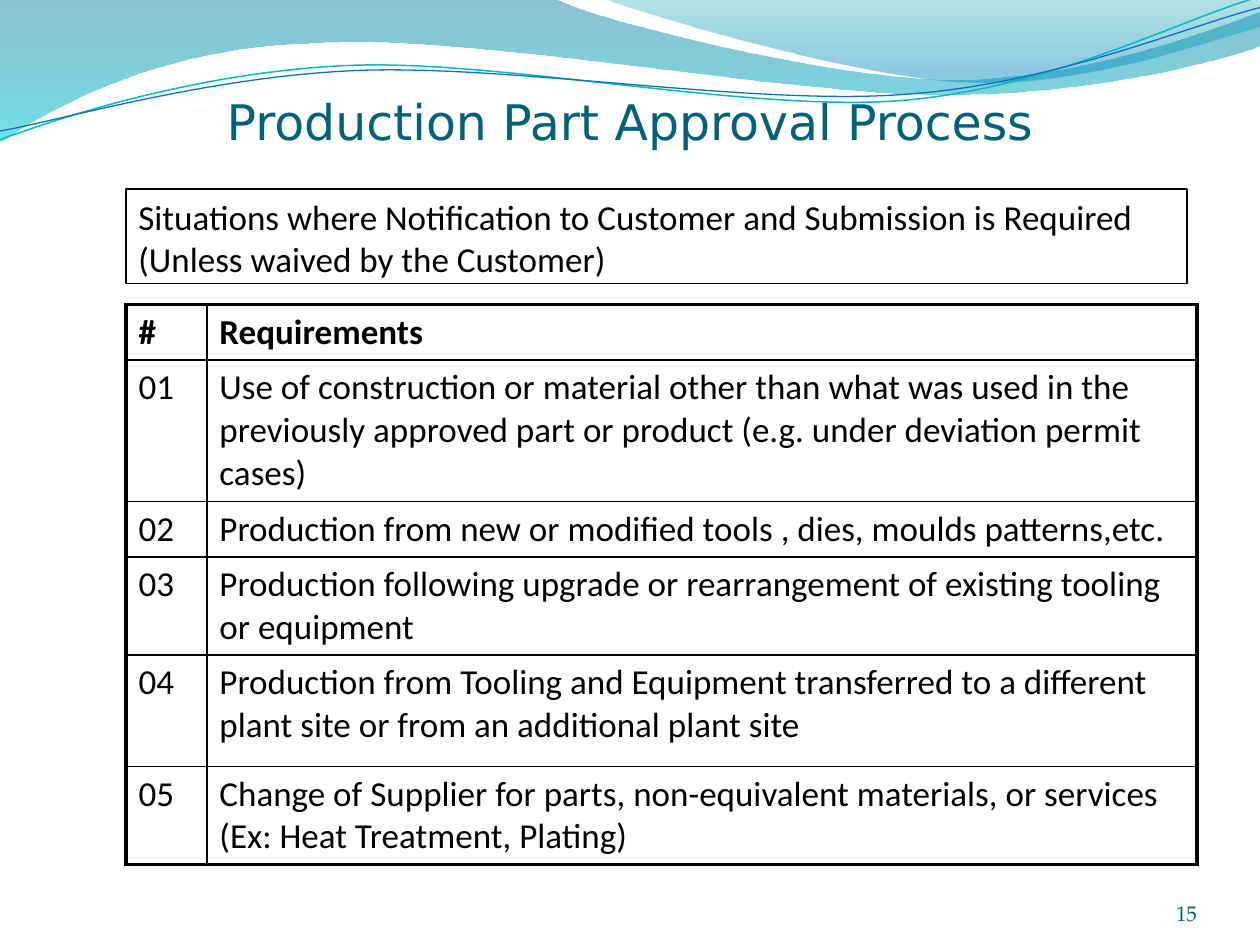
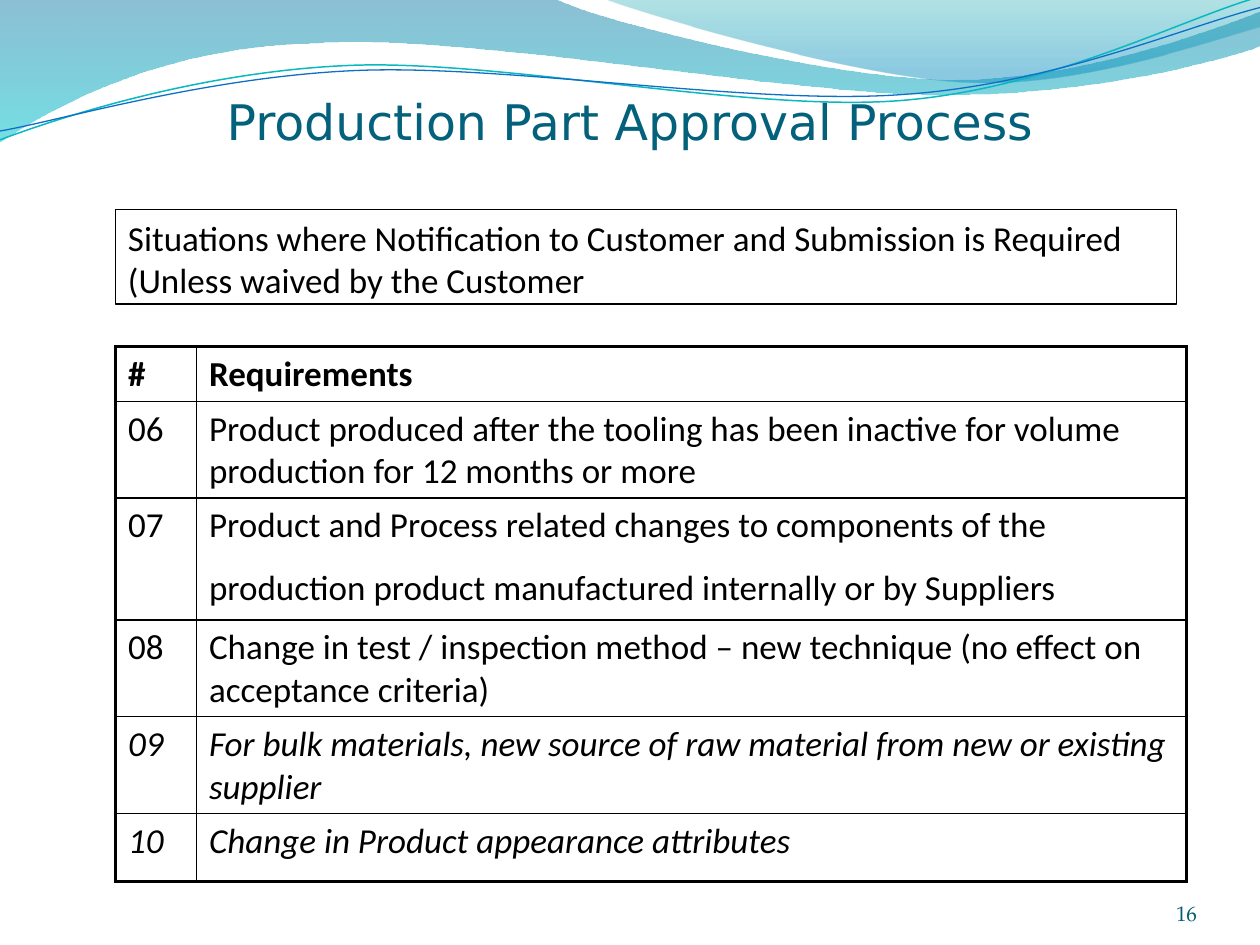
from pptx import Presentation
from pptx.dml.color import RGBColor
from pptx.enum.shapes import MSO_SHAPE as Preset
from pptx.enum.text import MSO_ANCHOR as Anchor, PP_ALIGN as Align
from pptx.oxml.ns import qn
from pptx.util import Cm, Pt
from lxml.etree import SubElement, Element

# Content
TITLE = "Production Part Approval Process"
HEADINGS = ("#", "Requirements")
SITUATION = ("Situations where Notification to Customer and Submission "
             "is Required (Unless waived by the Customer")

# Each requirement: number, text, least row height in cm, italic
PAGES = [
    dict(number="15", situation=SITUATION + ")", left=2.54, header_height=1.04,
         situation_top=3.81, table_top=6.14, requirements=[
             ("01", "Use of construction or material other than what was used in the "
              "previously approved part or product (e.g. under deviation permit cases)",
              2.59, False),
             ("02", "Production from new or modified tools , dies, moulds patterns,etc.",
              1.04, False),
             ("03", "Production following upgrade or rearrangement of existing tooling "
              "or equipment", 1.8, False),
             ("04", "Production from Tooling and Equipment transferred to a different "
              "plant site or from an additional plant site", 2.24, False),
             ("05", "Change of Supplier for parts, non-equivalent materials, or services "
              "(Ex: Heat Treatment, Plating)", 1.8, False),
         ]),
    dict(number="16", situation=SITUATION, left=2.33, header_height=1.09,
         situation_top=4.23, table_top=6.99, requirements=[
             ("06", "Product produced after the tooling has been inactive for volume "
              "production for 12 months or more", 1.93, False),
             ("07", "Product and Process related changes to components of the "
              "production product manufactured internally or by Suppliers", 2.39, False),
             ("08", "Change in test / inspection method – new technique (no effect on "
              "acceptance criteria)", 1.93, False),
             ("09", "For bulk materials, new source of raw material from new or existing "
              "supplier", 1.93, True),
             ("10", "Change in Product appearance attributes", 1.38, True),
         ]),
]
TALL_LINE_NUMBER = "07"  # its last line ends in a larger space

# Shared look
BLACK, WHITE, TITLE_COLOR, NUMBER_COLOR = "000000", "FFFFFF", "04617B", "045D75"
BODY_FONT, TITLE_FONT, NUMBER_FONT = "Calibri", "DejaVu Sans", "TeX Gyre Pagella"
COLUMN_WIDTHS = (1.63, 19.96)
OUTER_LINE, INNER_LINE = 2.25, 1

# Waves on a grid ten units wide: 2 numbers are a point, 6 are a curve
WAVE_UNIT = 2.54
BANDS = [
    ([(0, 0), (4.4, -0.01), (4.76, 0.17, 6.64, 0.63, 7.58, 0.63),
      (8.53, 0.63, 9.58, 0.26, 10, 0.09), (10.01, 0.36),
      (9.83, 0.44, 8.7, 0.76, 7.46, 0.75), (6.22, 0.75, 3.82, 0.28, 2.57, 0.34),
      (1.29, 0.36, 0.46, 0.83, -0.01, 1.13), (0, 0)],
     [(0, "0074A1", 45), (1, "00C6CF", 55)]),
    ([(4.79, -0.01), (5.09, 0.11, 6.82, 0.62, 7.69, 0.65),
      (8.56, 0.69, 9.61, 0.32, 10, 0.21), (10, 0), (4.79, -0.01)],
     [(0, "00A1A9", 30), (0.8, "008BBF", 45)]),
]
STRANDS = [
    ([(0, 1.11), (0.48, 0.93, 1.58, 0.57, 2.77, 0.52),
      (3.95, 0.47, 5.93, 0.89, 7.13, 0.8), (8.33, 0.71, 9.38, 0.15, 9.98, -0.02)],
     "0AB8BF", 0.85),
    ([(0, 1.04), (0.47, 0.96, 1.64, 0.61, 2.83, 0.56),
      (4.03, 0.51, 5.97, 0.84, 7.17, 0.75), (8.36, 0.67, 9.41, 0.21, 10, 0.06)],
     "0F6FC6", 0.75),
]


def color(hex_code):
    return RGBColor.from_string(hex_code)


def style(run, font, size, hex_code, bold=False, italic=False):
    run.font.name, run.font.size = font, Pt(size)
    run.font.bold, run.font.italic = bold, italic
    run.font.color.rgb = color(hex_code)


def write(frame, text, font, size, hex_code, align=Align.LEFT, **emphasis):
    frame.text = text
    frame.word_wrap = True
    frame.paragraphs[0].alignment = align
    style(frame.paragraphs[0].runs[0], font, size, hex_code, **emphasis)


def add_wave(slide, steps, close):
    points = [(Cm(x * WAVE_UNIT), Cm(y * WAVE_UNIT))
              for step in steps for x, y in zip(step[::2], step[1::2])]
    builder = slide.shapes.build_freeform(*points[0])
    builder.add_line_segments(points[1:], close=close)
    wave = builder.convert_to_shape()
    wave.shadow.inherit = False
    # Join the three corners of each curve into one cubic segment
    corners = iter(list(wave._element.spPr.iter(qn("a:lnTo"))))
    for step in steps[1:]:
        first = next(corners)
        if len(step) == 6:
            first.tag = qn("a:cubicBezTo")
            for _ in range(2):
                corner = next(corners)
                first.append(corner[0])
                corner.getparent().remove(corner)
    return wave


def add_waves(slide):
    for steps, stops in BANDS:
        band = add_wave(slide, steps, True)
        band.line.fill.background()
        band.fill.gradient()
        band.fill.gradient_angle = 270
        for stop, (position, hex_code, _) in zip(band.fill.gradient_stops, stops):
            stop.position = position
            stop.color.rgb = color(hex_code)
        # Opacity of each stop
        for tint, (_, _, opacity) in zip(band._element.spPr.iter(qn("a:srgbClr")), stops):
            SubElement(tint, qn("a:alpha"), val=str(opacity * 1000))
    for steps, hex_code, width in STRANDS:
        strand = add_wave(slide, steps, False)
        strand.fill.background()
        strand.line.color.rgb = color(hex_code)
        strand.line.width = Pt(width)


def add_title(slide):
    title = slide.shapes.add_textbox(Cm(4.32), Cm(1.73), Cm(17.07), Cm(1.45))
    write(title.text_frame, TITLE, TITLE_FONT, 28, TITLE_COLOR)


def add_page_number(slide, number):
    footer = slide.shapes.add_textbox(Cm(22.02), Cm(17.65), Cm(2.11), Cm(1.02))
    frame = footer.text_frame
    frame.margin_left = frame.margin_right = frame.margin_top = frame.margin_bottom = 0
    frame.vertical_anchor = Anchor.BOTTOM
    write(frame, number, NUMBER_FONT, 12, NUMBER_COLOR, Align.RIGHT)


def add_situation(slide, text, left, top):
    box = slide.shapes.add_shape(Preset.RECTANGLE, Cm(left), Cm(top), Cm(21.39), Cm(1.9))
    box.shadow.inherit = False
    box.fill.solid()
    box.fill.fore_color.rgb = color(WHITE)
    box.line.color.rgb = color(BLACK)
    box.line.width = Pt(0.75)
    box.text_frame.vertical_anchor = Anchor.TOP
    write(box.text_frame, text, BODY_FONT, 20, BLACK)


def set_borders(cell, outer_sides):
    properties = cell._tc.get_or_add_tcPr()
    for place, side in enumerate("LRTB"):
        width = OUTER_LINE if side in outer_sides else INNER_LINE
        border = Element(qn("a:ln" + side), w=str(Pt(width)))
        SubElement(SubElement(border, qn("a:solidFill")), qn("a:srgbClr"), val=BLACK)
        properties.insert(place, border)


def add_requirements(slide, page):
    rows = [(*HEADINGS, page["header_height"], False)] + page["requirements"]
    table = slide.shapes.add_table(
        len(rows), len(COLUMN_WIDTHS), Cm(page["left"]), Cm(page["table_top"]),
        Cm(sum(COLUMN_WIDTHS)), Cm(sum(row[2] for row in rows))).table
    table.first_row = table.horz_banding = False
    for column, width in zip(table.columns, COLUMN_WIDTHS):
        column.width = Cm(width)
    for r, (number, text, height, italic) in enumerate(rows):
        table.rows[r].height = Cm(height)
        for c, entry in enumerate((number, text)):
            cell = table.cell(r, c)
            cell.fill.background()
            write(cell.text_frame, entry, BODY_FONT, 20, BLACK, bold=r == 0, italic=italic)
            outer = "LR"[c] + ("T" if r == 0 else "B" if r == len(rows) - 1 else "")
            set_borders(cell, outer)
        if number == TALL_LINE_NUMBER:
            space = table.cell(r, 1).text_frame.paragraphs[0].add_run()
            space.text = " "
            style(space, BODY_FONT, 32, BLACK)


def main():
    deck = Presentation()
    deck.slide_width, deck.slide_height = Cm(25.4), Cm(19.05)
    for page in PAGES:
        slide = deck.slides.add_slide(deck.slide_layouts[6])
        add_waves(slide)
        add_requirements(slide, page)
        add_situation(slide, page["situation"], page["left"], page["situation_top"])
        add_title(slide)
        add_page_number(slide, page["number"])
    deck.save("out.pptx")


if __name__ == "__main__":
    main()
